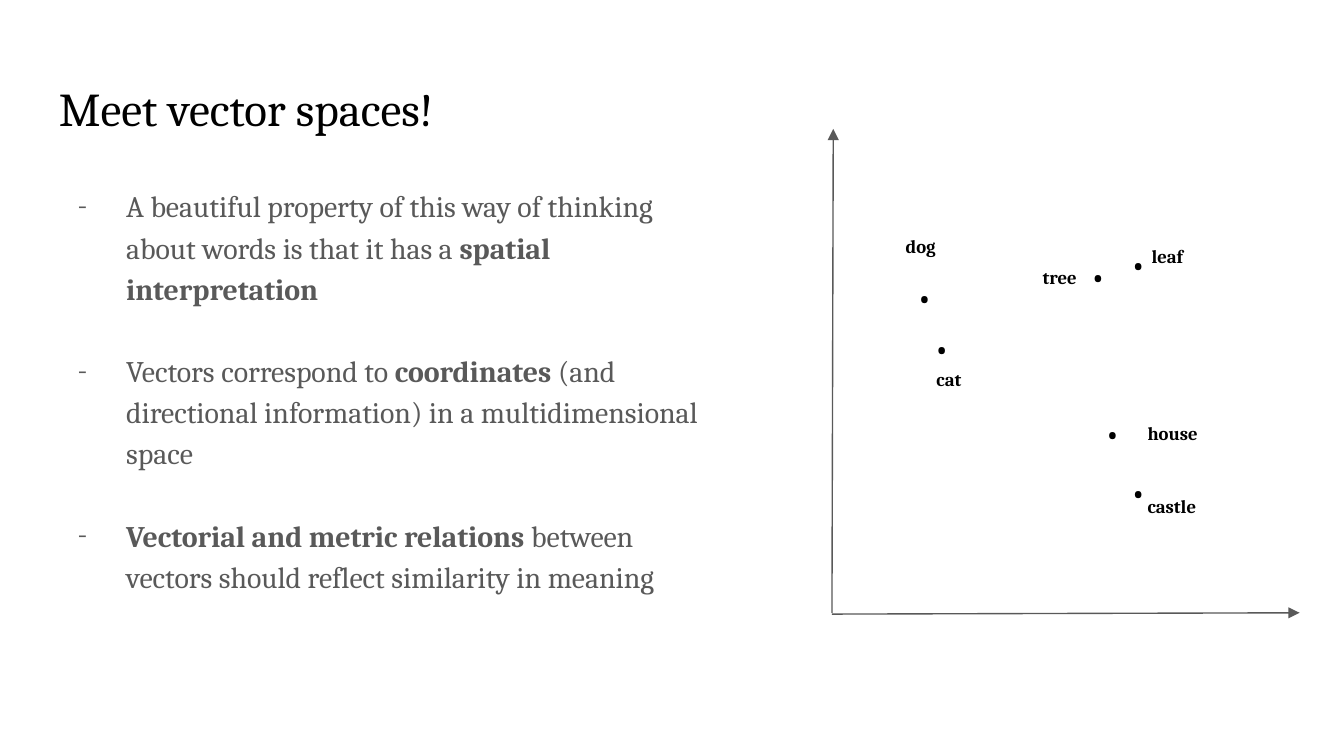
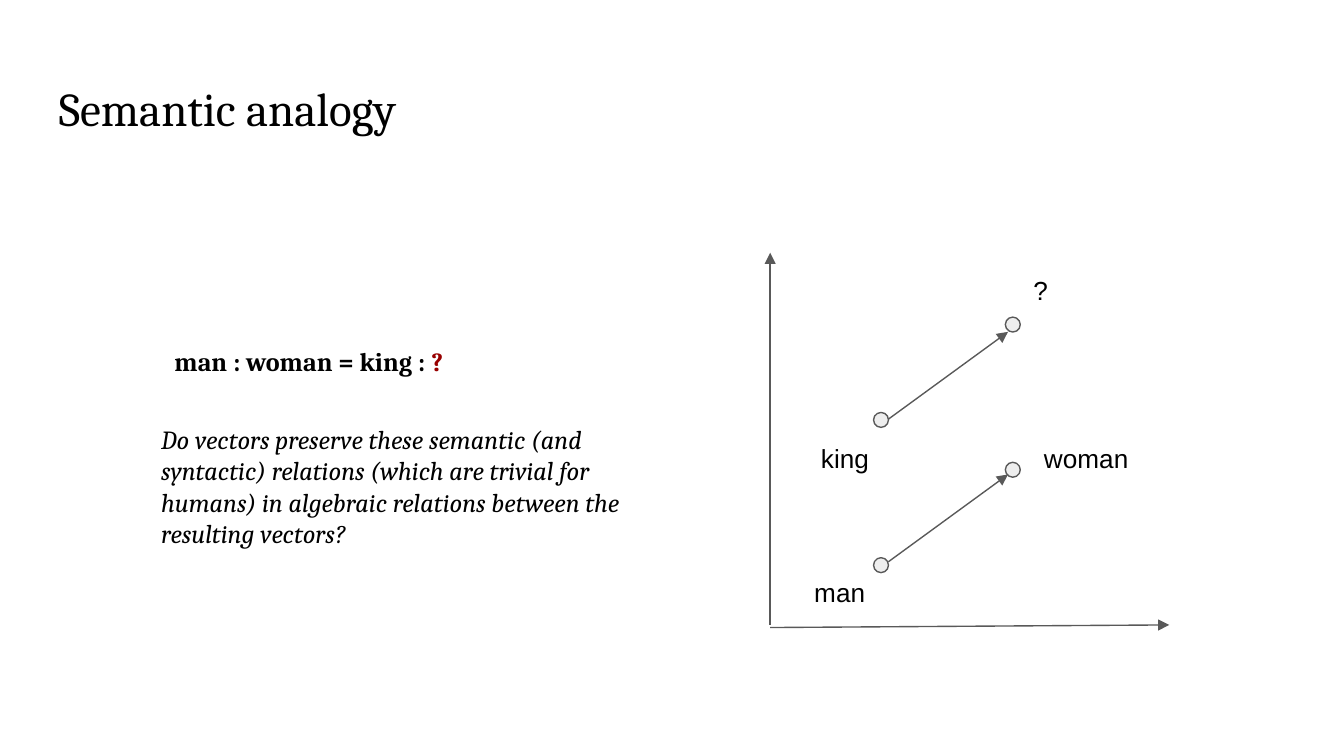
from dataclasses import dataclass

from lxml import etree
from pptx import Presentation
from pptx.dml.color import RGBColor
from pptx.enum.shapes import MSO_CONNECTOR, MSO_SHAPE
from pptx.enum.text import MSO_ANCHOR, MSO_AUTO_SIZE
from pptx.oxml.ns import qn
from pptx.util import Pt

STRAIGHT = MSO_CONNECTOR.STRAIGHT
OVAL = MSO_SHAPE.OVAL
TOP = MSO_ANCHOR.TOP
NO_AUTOFIT = MSO_AUTO_SIZE.NONE


@dataclass(frozen=True)
class Theme:
    background: str = "FFFFFF"
    ink: str = "000000"
    gray: str = "595959"
    accent: str = "980000"
    marker: str = "EEEEEE"
    serif: str = "Cambria"
    sans: str = "Arial"
    title_size: float = 25.2
    body_size: float = 16
    text_size: float = 14
    word_size: float = 10
    line_width: float = 0.75
    inset: float = 7.2


THEME = Theme()
BOLD = {"bold": True}
ITALIC = {"italic": True}

SLIDE_SIZE = (720, 405)
TITLE_BOX = (24.5, 35.3, 671, 45.4)

# Slide 1: vector spaces
SPACES_TITLE = "Meet vector spaces!"
POINTS_BOX = (24.5, 90.7, 360.7, 269.3)
POINTS = [
    [("A beautiful property of this way of thinking about words is that it has a ", {}),
     ("spatial interpretation", BOLD)],
    [("Vectors correspond to ", {}), ("coordinates", BOLD),
     (" (and directional information) in a multidimensional space", {})],
    [("Vectorial and metric relations ", BOLD),
     ("between vectors should reflect similarity in meaning", {})],
]
SPACES_AXES = [((445.7, 328.3), (446.4, 69.1)), ((445.7, 329), (696.2, 328.3))]
DOT_SIZE = (21.6, 45.4)
DOTS = [(485.3, 130.3), (494.6, 157.7), (578.2, 118.8),
        (586.1, 203), (599.8, 234.7), (599.8, 112.3)]
WORDS = [
    ("dog", (478.1, 118.8, 90, 45.4)),
    ("cat", (494.6, 190.1, 90, 45.4)),
    ("tree", (551.5, 135.4, 90, 45.4)),
    ("leaf", (609.8, 123.8, 37.4, 33.8)),
    ("house", (607.7, 218.9, 58.3, 33.8)),
    ("castle", (607.7, 257.8, 58.3, 33.8)),
]

# Slide 2: analogy
ANALOGY_TITLE = "Semantic analogy"
ANALOGY_AXES = [((412.6, 334.8), (412.6, 135.4)), ((412.6, 336.2), (626.4, 334.8))]
MARKER_SIZE = 8
MARKER_LEFTS = (468, 538.6)
MARKER_RISE = 51.1
PAIR_TOPS = (298.8, 221)
ARROW_STARTS = [(475.9, 301), (475.9, 224.6)]
ARROW_VECTOR = (64.1, -46.8)
MARKER_LABELS = [
    ("man", (429.1, 301.7, 54, 31.7)),
    ("woman", (552.2, 229.7, 64.1, 31.7)),
    ("king", (432.7, 229.7, 46.8, 31.7)),
    ("?", (546.5, 139.7, 46.8, 31.7)),
]
EQUATION_BOX = (86.4, 177.8, 194.4, 31.7)
EQUATION = [("man : woman = king : ", BOLD), ("?", {"bold": True, "color": THEME.accent})]
QUESTION_BOX = (79.2, 219.6, 260.6, 99.4)
QUESTION = ("Do vectors preserve these semantic (and syntactic) relations (which are "
            "trivial for humans) in algebraic relations between the resulting vectors?")


def rgb(color):
    return RGBColor.from_string(color)


def points(*lengths):
    return [Pt(length) for length in lengths]


def add_text_frame(slide, box):
    frame = slide.shapes.add_textbox(*points(*box)).text_frame
    frame.word_wrap = True
    frame.auto_size = NO_AUTOFIT
    frame.vertical_anchor = TOP
    frame.margin_left = frame.margin_right = Pt(THEME.inset)
    frame.margin_top = frame.margin_bottom = Pt(THEME.inset)
    return frame


def add_runs(paragraph, runs, size, font=THEME.serif, color=THEME.ink):
    for text, style in runs:
        run = paragraph.add_run()
        run.text = text
        run.font.name = font
        run.font.size = Pt(size)
        run.font.bold = style.get("bold", False)
        run.font.italic = style.get("italic", False)
        run.font.color.rgb = rgb(style.get("color", color))


def add_text(slide, box, runs, size, font=THEME.serif):
    add_runs(add_text_frame(slide, box).paragraphs[0], runs, size, font)


def set_dash_bullet(paragraph):
    properties = paragraph._p.get_or_add_pPr()
    properties.set("marL", str(Pt(36)))
    properties.set("indent", str(Pt(-26)))
    color = etree.SubElement(properties, qn("a:buClr"))
    etree.SubElement(color, qn("a:srgbClr"), val=THEME.gray)
    etree.SubElement(properties, qn("a:buFont"), typeface=THEME.serif)
    etree.SubElement(properties, qn("a:buChar"), char="-")


def add_bullets(slide, box, items):
    frame = add_text_frame(slide, box)
    for index, runs in enumerate(items):
        paragraph = frame.add_paragraph() if index else frame.paragraphs[0]
        paragraph.line_spacing = 1.15
        paragraph.space_before = Pt(22 if index else 0)
        set_dash_bullet(paragraph)
        add_runs(paragraph, runs, THEME.body_size, color=THEME.gray)


def add_arrow(slide, start, end):
    arrow = slide.shapes.add_connector(STRAIGHT, *points(*start, *end))
    arrow.line.color.rgb = rgb(THEME.gray)
    arrow.line.width = Pt(THEME.line_width)
    etree.SubElement(arrow.line._get_or_add_ln(), qn("a:tailEnd"), type="triangle")
    etree.SubElement(arrow._element.spPr, qn("a:effectLst"))


def add_marker(slide, left, top):
    marker = slide.shapes.add_shape(OVAL, *points(left, top, MARKER_SIZE, MARKER_SIZE))
    marker.shadow.inherit = False
    marker.fill.solid()
    marker.fill.fore_color.rgb = rgb(THEME.marker)
    marker.line.color.rgb = rgb(THEME.gray)
    marker.line.width = Pt(THEME.line_width)


def add_titled_slide(presentation, title):
    slide = presentation.slides.add_slide(presentation.slide_layouts[6])
    slide.background.fill.solid()
    slide.background.fill.fore_color.rgb = rgb(THEME.background)
    add_text(slide, TITLE_BOX, [(title, {})], THEME.title_size)
    return slide


def build_spaces(presentation):
    slide = add_titled_slide(presentation, SPACES_TITLE)
    add_bullets(slide, POINTS_BOX, POINTS)
    for start, end in SPACES_AXES:
        add_arrow(slide, start, end)
    for position in DOTS:
        add_text(slide, position + DOT_SIZE, [(".", BOLD)], THEME.title_size)
    for word, box in WORDS:
        add_text(slide, box, [(word, BOLD)], THEME.word_size)


def build_analogy(presentation):
    slide = add_titled_slide(presentation, ANALOGY_TITLE)
    for start, end in ANALOGY_AXES:
        add_arrow(slide, start, end)
    for top in PAIR_TOPS:
        for step, left in enumerate(MARKER_LEFTS):
            add_marker(slide, left, top - step * MARKER_RISE)
    for x, y in ARROW_STARTS:
        add_arrow(slide, (x, y), (x + ARROW_VECTOR[0], y + ARROW_VECTOR[1]))
    for label, box in MARKER_LABELS:
        add_text(slide, box, [(label, {})], THEME.text_size, THEME.sans)
    add_text(slide, EQUATION_BOX, EQUATION, THEME.text_size)
    add_text(slide, QUESTION_BOX, [(QUESTION, ITALIC)], THEME.text_size)


def main():
    presentation = Presentation()
    presentation.slide_width, presentation.slide_height = points(*SLIDE_SIZE)
    build_spaces(presentation)
    build_analogy(presentation)
    presentation.save("out.pptx")


if __name__ == "__main__":
    main()
